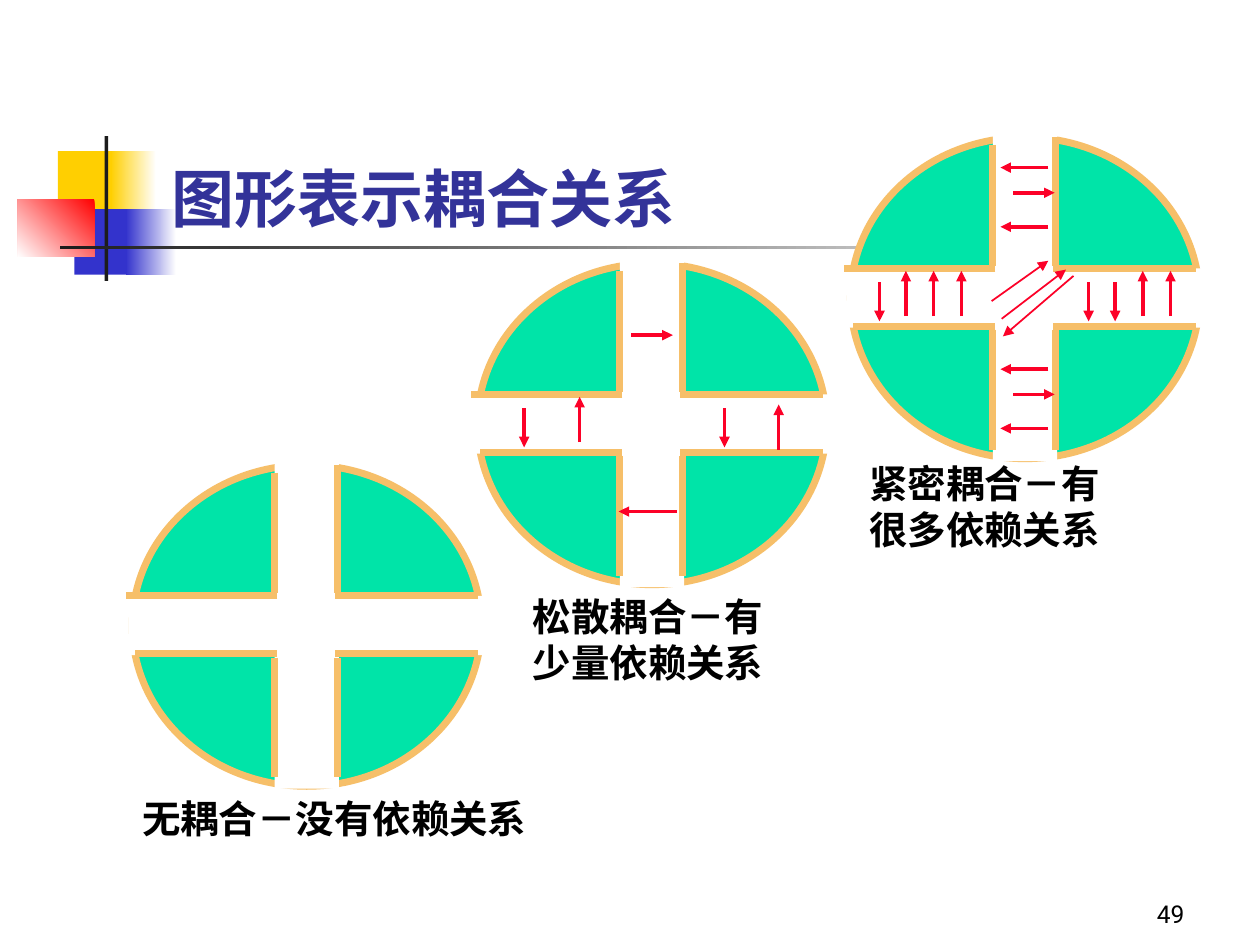
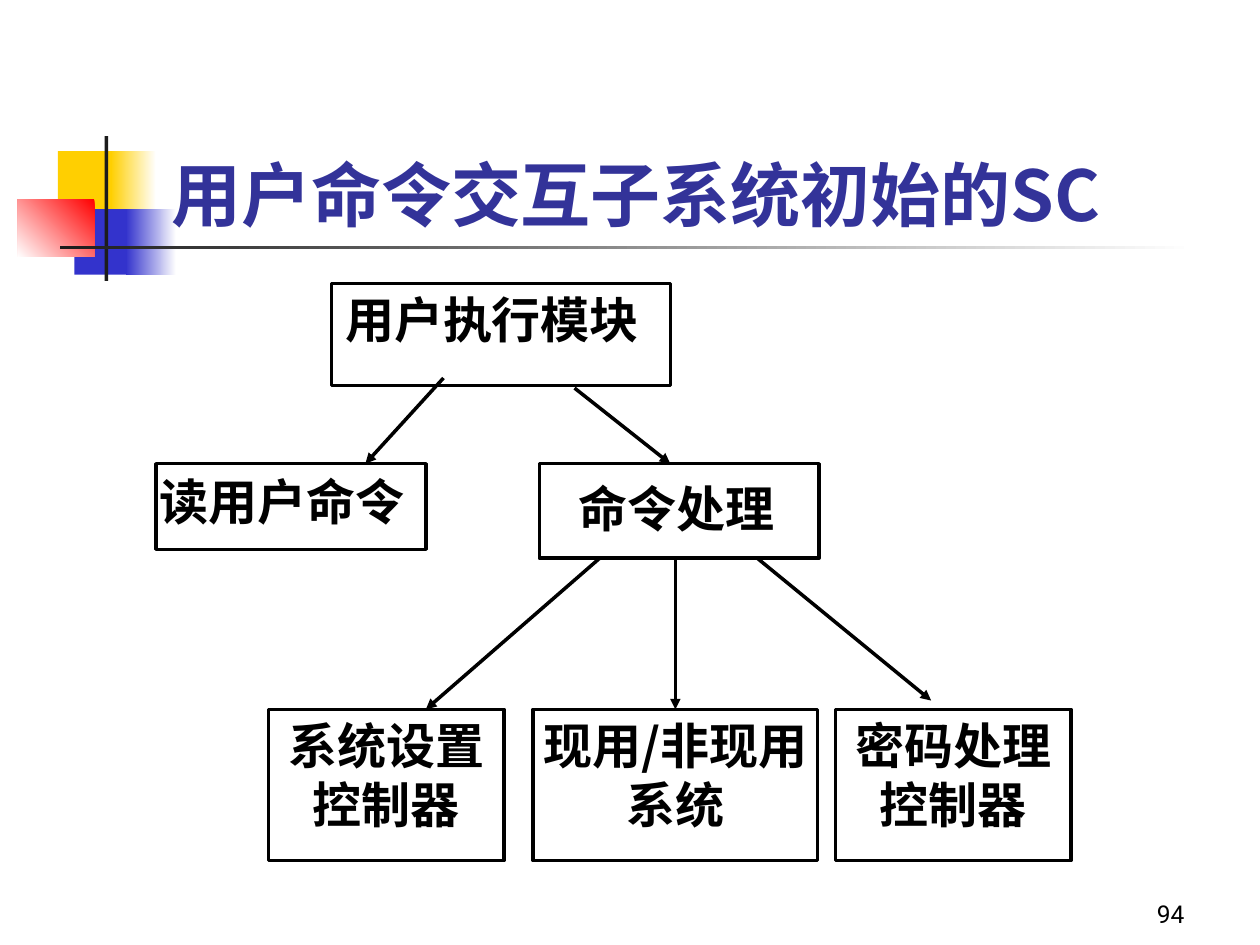
from typing import NamedTuple

from lxml.etree import SubElement
from pptx import Presentation
from pptx.dml.color import RGBColor
from pptx.enum.shapes import MSO_CONNECTOR, MSO_SHAPE
from pptx.enum.text import MSO_ANCHOR, MSO_AUTO_SIZE, PP_ALIGN
from pptx.oxml.ns import qn
from pptx.util import Inches, Pt

RECT, OVAL = MSO_SHAPE.RECTANGLE, MSO_SHAPE.OVAL
LINE = MSO_CONNECTOR.STRAIGHT
LEFT, MID, RIGHT = PP_ALIGN.LEFT, PP_ALIGN.CENTER, PP_ALIGN.RIGHT
TOP, BASE = MSO_ANCHOR.TOP, MSO_ANCHOR.BOTTOM
FIXED = MSO_AUTO_SIZE.NONE

HAN, LATIN = "Noto Sans CJK SC", "Roboto"
HEX = {
    "white": "FFFFFF", "black": "000000", "coal": "1C1C1C", "gold": "FFCF01",
    "blue": "3333CC", "red": "FF0000", "title": "333399",
    "green": "00E4A8", "sand": "F6BF69", "arrow": "FC0128",
}


class Band(NamedTuple):
    at: tuple
    fill: str
    end: str = ""
    angle: float = 180


class Label(NamedTuple):
    at: tuple
    text: str


class Box(NamedTuple):
    at: tuple
    text: str
    inset: tuple = (0, 0.05)
    align: PP_ALIGN = LEFT
    wrap: bool = True


# Angles run counter-clockwise; a band with an end colour fades into it
BANDS = [
    Band((0.46, 1.2, 0.48, 0.52), "gold"),
    Band((0.88, 1.2, 0.36, 0.52), "white", "gold"),
    Band((0.59, 1.66, 0.46, 0.52), "blue"),
    Band((1, 1.66, 0.4, 0.52), "white", "blue"),
    Band((0.14, 1.58, 0.61, 0.46), "red", "white", 225),
    Band((0.83, 1.08, 0.03, 1.15), "coal"),
    Band((0.48, 1.95, 9, 0.03), "white", "coal"),
]

# Edges of the four quarters, from the disc's top left corner
EDGES = [
    (1.13, 0.06, 1.13, 1.02), (1.13, 1.53, 1.13, 2.48),
    (1.63, 1.53, 1.63, 2.48), (1.63, 0, 1.63, 1.02),
    (2.74, 1.04, 1.61, 1.04), (1.15, 1.04, -0.05, 1.04),
    (1.15, 1.5, 0.02, 1.5), (2.74, 1.5, 1.61, 1.5),
]
DISCS = [(1.05, 3.69), (6.75, 1.09), (3.79, 2.09)]

LABELS = [
    Label((1.03, 6.26, 4.54, 0.46), "无耦合－没有依赖关系"),
    Label((4.13, 4.66, 2.88, 0.83), "松散耦合－有\n少量依赖关系"),
    Label((6.8, 3.6, 2.81, 0.83), "紧密耦合－有\n很多依赖关系"),
]

BOXES = {
    "run": Box((2.63, 2.25, 2.69, 0.81), "用户执行模块", (0.11, 0.05)),
    "read": Box((1.24, 3.68, 2.14, 0.68), "读用户命令", (0.03, 0.06)),
    "order": Box((4.28, 3.68, 2.22, 0.75), "命令处理", (0.31, 0.12)),
    "setup": Box((2.13, 5.63, 1.87, 1.2), "系统设置\n控制器", align=MID, wrap=False),
    "live": Box((4.23, 5.63, 2.26, 1.2), "现用/非现用\n系统", align=MID, wrap=False),
    "code": Box((6.63, 5.63, 1.87, 1.2), "密码处理\n控制器", align=MID, wrap=False),
}
CALLS = [
    (4.56, 3.08, 5.32, 3.68), (3.52, 3, 2.9, 3.68),
    (6.01, 4.43, 7.39, 5.56), (4.76, 4.43, 3.38, 5.63),
]


def rgb(name: str) -> RGBColor:
    return RGBColor.from_string(HEX[name])


def put(frame, text: str, *, size: float, color: str = "black", font: str = HAN,
        bold: bool = True, align: PP_ALIGN = LEFT, anchor: MSO_ANCHOR = TOP,
        inset: tuple = (0.1, 0.05), wrap: bool = True) -> None:
    """Fill a text frame, one paragraph for each line of text."""
    frame.auto_size = FIXED
    frame.word_wrap = wrap
    frame.vertical_anchor = anchor
    frame.margin_left, frame.margin_top = map(Inches, inset)
    frame.margin_right = Inches(min(inset[0], 0.1))
    frame.margin_bottom = Inches(0.05)
    for i, line in enumerate(text.split("\n")):
        para = frame.add_paragraph() if i else frame.paragraphs[0]
        para.alignment = align
        run = para.add_run()
        run.text = line
        run.font.size, run.font.bold, run.font.name = Pt(size), bold, font
        run.font.color.rgb = rgb(color)
        SubElement(run.font._element, qn("a:ea"), typeface=font)


def note(slide, at: tuple, text: str, **style) -> None:
    put(slide.shapes.add_textbox(*map(Inches, at)).text_frame, text, **style)


def block(slide, at: tuple, fill: str, kind: MSO_SHAPE = RECT,
          edge: str = "", width: float = 2):
    shape = slide.shapes.add_shape(kind, *map(Inches, at))
    shape.shadow.inherit = False
    shape.fill.solid()
    shape.fill.fore_color.rgb = rgb(fill)
    if edge:
        shape.line.color.rgb = rgb(edge)
        shape.line.width = Pt(width)
    else:
        shape.line.fill.background()
    return shape


def link(slide, ends: tuple, color: str, width: float = 2, tip: bool = True):
    line = slide.shapes.add_connector(LINE, *map(Inches, ends))
    line.line.color.rgb = rgb(color)
    line.line.width = Pt(width)
    props = line.element.find(qn("p:spPr"))
    if tip:
        SubElement(props.find(qn("a:ln")), qn("a:tailEnd"), type="triangle")
    SubElement(props, qn("a:effectLst"))
    return line


def start(deck, title: str, size: float, page: int):
    """Add a slide with the shared bands, title and page number."""
    slide = deck.slides.add_slide(deck.slide_layouts[5])
    for band in BANDS:
        shape = block(slide, band.at, band.fill)
        if band.end:
            shape.fill.gradient()
            shape.fill.gradient_angle = band.angle
            for stop, name in zip(shape.fill.gradient_stops, (band.fill, band.end)):
                stop.color.rgb = rgb(name)
    head = slide.shapes.title
    head.left, head.top, head.width, head.height = map(Inches, (1.26, 0.67, 8.52, 1.25))
    put(head.text_frame, title, size=size, color="title", anchor=BASE)
    head.element.getparent().append(head.element)  # in front of the bands
    note(slide, (7.42, 6.92, 2.08, 0.5), str(page), size=14, font=LATIN,
         bold=False, align=RIGHT, anchor=BASE)
    return slide


def disc(slide, x: float, y: float) -> None:
    """Draw a disc cut into quarters by two white bars."""
    block(slide, (x, y, 2.77, 2.55), "green", OVAL, "sand", 4)
    block(slide, (x + 1.13, y - 0.09, 0.51, 2.66), "white")
    block(slide, (x - 0.03, y + 1.04, 2.89, 0.47), "white")
    for x1, y1, x2, y2 in EDGES:
        link(slide, (x + x1, y + y1, x + x2, y + y2), "sand", 4, tip=False)


def couple(deck) -> None:
    slide = start(deck, "图形表示耦合关系", 36, 49)
    for x, y in DISCS:
        disc(slide, x, y)

    # Arrows between upper and lower quarters
    down = [(6.98, 2.24), (8.64, 2.24), (8.85, 2.24), (4.16, 3.24), (5.75, 3.24)]
    rise = [(x, 2.51) for x in (7.19, 7.41, 7.63, 9.07, 9.29)]
    rise += [(4.6, 3.51), (6.18, 3.57)]
    ends = [(x, y, x, y + 0.31) for x, y in down]
    ends += [(x, y, x, y - 0.36) for x, y in rise]

    # Arrows between left and right quarters
    ends += [(5.01, 2.66, 5.34, 2.66), (5.37, 4.06, 4.91, 4.06)]
    for y in (1.53, 3.13):
        ends.append((8.04, y, 8.37, y))
        ends += [(8.32, y + gap, 7.94, y + gap) for gap in (0.27, -0.2)]
    for end in ends:
        link(slide, end, "arrow")

    # Arrows between opposite quarters
    for end in [(7.87, 2.39, 8.32, 2.07), (7.95, 2.53, 8.46, 2.14),
                (8.52, 2.19, 7.96, 2.67)]:
        link(slide, end, "arrow", 1)

    for label in LABELS:
        note(slide, label.at, label.text, size=22)


def chart(deck) -> None:
    slide = start(deck, "用户命令交互子系统初始的SC", 40, 94)
    made = {}
    for name, box in BOXES.items():
        made[name] = block(slide, box.at, "white", edge="black")
        put(made[name].text_frame, box.text, size=28, align=box.align,
            inset=box.inset, wrap=box.wrap)
    for ends in CALLS:
        link(slide, ends, "black")
    link(slide, (5.36, 4.43, 5.36, 5.63), "black").end_connect(made["live"], 0)


def main() -> None:
    deck = Presentation()
    deck.slide_width, deck.slide_height = Inches(10), Inches(7.5)
    couple(deck)
    chart(deck)
    deck.save("out.pptx")


if __name__ == "__main__":
    main()
